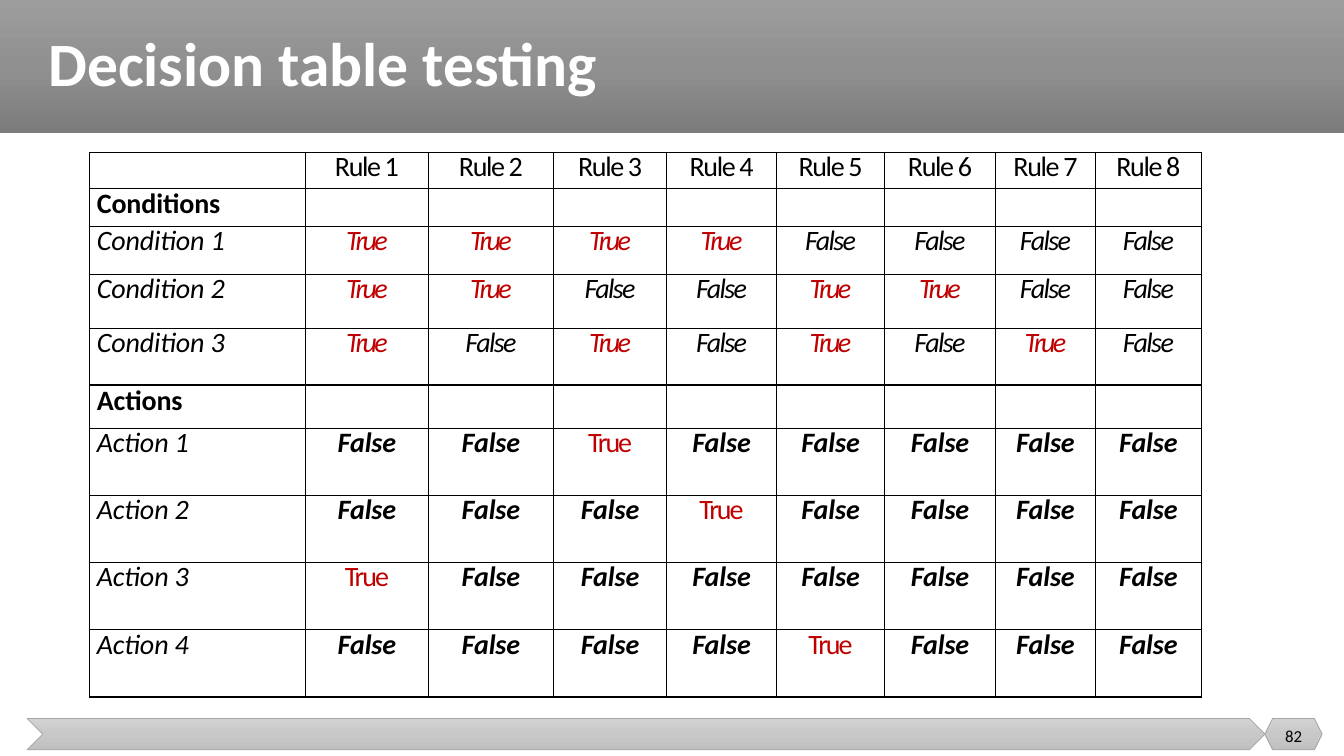
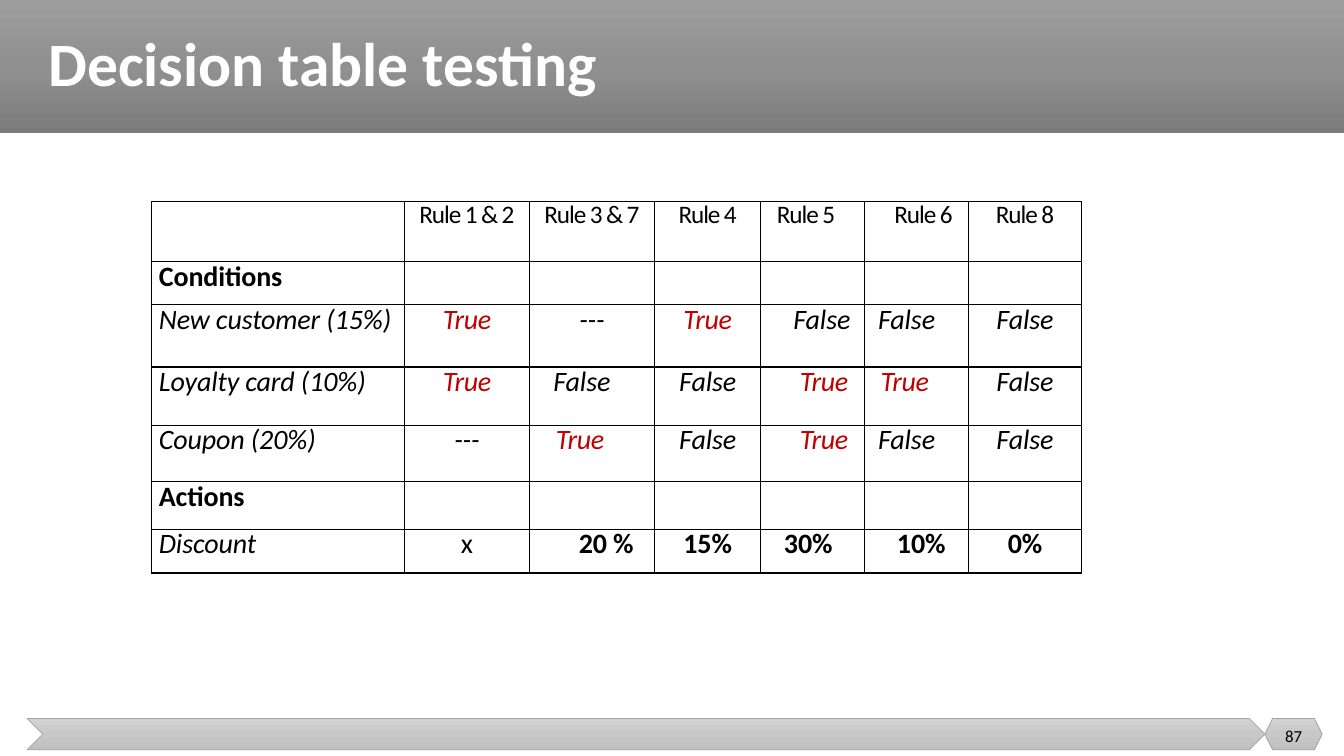
"""Build two slides on decision table testing."""
from collections import namedtuple
from copy import deepcopy

from lxml.etree import SubElement
from pptx import Presentation
from pptx.dml.color import RGBColor as RGB
from pptx.enum.shapes import MSO_SHAPE as SHAPE
from pptx.enum.text import MSO_ANCHOR as ANCHOR, PP_ALIGN as ALIGN
from pptx.oxml.ns import qn
from pptx.util import Pt

COLORS = {
    "black": "000000", "white": "FFFFFF", "red": "C00000", "edge": "A5A5A5",
    "top": ("9D9D9D", "909090", "7C7C7C"),
    "foot": ("D2D2D2", "C8C8C8", "C0C0C0"),
}

Look = namedtuple("Look", "size bold slant gap color line",
                  defaults=(20, False, False, -0.1, "black", 22.8))

LOOKS = {
    "head": Look(gap=-1),
    "small head": Look(size=18, gap=-0.8, line=20.4),
    "group": Look(bold=True, line=23.4),
    "label": Look(slant=True),
    "tight": Look(slant=True, gap=-1.2),
    ("tight", "True"): Look(slant=True, gap=-1.9, color="red"),
    "loose": Look(slant=True),
    ("loose", "True"): Look(slant=True, gap=-0.3, color="red"),
    "act": Look(bold=True, slant=True),
    ("act", "True"): Look(gap=-1.5, color="red"),
    "sum": Look(bold=True),
    ("sum", "x"): Look(gap=0),
}


class Deck:
    def __init__(self):
        self.deck = Presentation()
        self.deck.slide_width, self.deck.slide_height = Pt(960), Pt(540)
        self.slide = None

    def page(self, title, number):
        self.slide = self.deck.slides.add_slide(self.deck.slide_layouts[6])
        self.band(SHAPE.RECTANGLE, (0, 0, 960, 95), "top")
        self.band(SHAPE.CHEVRON, (19.3, 513.2, 884.2, 22.4), "foot", "edge")
        self.band(SHAPE.HEXAGON, (903.5, 513.2, 41, 22.4), "foot", "edge")
        head = self.text((27.4, 0, 917, 95), title,
                         Look(size=44, bold=True, gap=0, color="white"))
        head.line_spacing = 0.9
        foot = self.text((903.5, 511.2, 41, 28.8), number, Look(size=12, gap=0))
        foot.alignment = ALIGN.CENTER

    def band(self, kind, box, fill, edge=None):
        shape = self.slide.shapes.add_shape(kind, *map(Pt, box))
        shape.shadow.inherit = False
        shape.fill.gradient()
        shape.fill.gradient_angle = 270
        stops = shape._element.spPr.find(qn("a:gradFill")).find(qn("a:gsLst"))
        stops.append(deepcopy(stops[0]))
        for i, stop in enumerate(shape.fill.gradient_stops):
            stop.color.rgb = RGB.from_string(COLORS[fill][i])
            stop.position = i / 2
        if edge:
            shape.line.color.rgb = RGB.from_string(COLORS[edge])
            shape.line.width = Pt(0.5)
        else:
            shape.line.fill.background()

    def text(self, box, words, look):
        frame = self.slide.shapes.add_textbox(*map(Pt, box)).text_frame
        frame.word_wrap = True
        frame.vertical_anchor = ANCHOR.MIDDLE
        frame.text = words
        self.style(frame.paragraphs[0], look)
        return frame.paragraphs[0]

    def style(self, para, look):
        for run in para.runs:
            font = run.font
            font.name, font.size = "Calibri", Pt(look.size)
            font.bold, font.italic = look.bold, look.slant
            font.color.rgb = RGB.from_string(COLORS[look.color])
            if look.gap:
                run._r.get_or_add_rPr().set("spc", str(round(look.gap * 100)))

    def table(self, left, top, widths, rows, shifts=None):
        shifts = shifts or {}
        highs = [row[0] for row in rows]
        grid = self.slide.shapes.add_table(
            len(rows), len(widths), Pt(left), Pt(top),
            Pt(sum(widths)), Pt(sum(highs))).table
        grid.first_row = grid.horz_banding = False
        for col, width in zip(grid.columns, widths):
            col.width = Pt(width)
        for r, (high, kind, label, words) in enumerate(rows):
            grid.rows[r].height = Pt(high)
            first = "group" if kind == "group" else "label"
            for c in range(len(widths)):
                word = label if c == 0 else words[c - 1] if words else ""
                look = LOOKS.get((kind, word), LOOKS[kind]) if c else LOOKS[first]
                base = (ALIGN.CENTER, 0, 0) if c else (ALIGN.LEFT, 5.2, 0)
                self.cell(grid.cell(r, c), word, look, *shifts.get((r, c), base))

    def cell(self, cell, word, look, align, left, right):
        cell.margin_left, cell.margin_right = Pt(left), Pt(right)
        cell.margin_top = cell.margin_bottom = 0
        self.edges(cell)
        cell.fill.background()
        cell.text_frame.text = word
        para = cell.text_frame.paragraphs[0]
        para.alignment = align
        para.line_spacing = Pt(look.line)
        self.style(para, look)

    def edges(self, cell):
        props = cell._tc.get_or_add_tcPr()
        for side in ("lnL", "lnR", "lnT", "lnB"):
            line = SubElement(props, qn("a:" + side), w=str(Pt(1)))
            fill = SubElement(line, qn("a:solidFill"))
            SubElement(fill, qn("a:srgbClr"), val=COLORS["black"])


def flags(code):
    return [{"T": "True", "F": "False", "-": "---"}[mark] for mark in code]


def main():
    deck = Deck()
    title = "Decision table testing"

    deck.page(title, "82")
    deck.table(64, 108.7, [154.2, 87.8, 89.4, 80.8, 78.5, 77.2, 79.2, 71.5, 75.6], [
        (26, "head", "", [f"Rule {n}" for n in range(1, 9)]),
        (27, "group", "Conditions", []),
        (34.4, "tight", "Condition 1", flags("TTTTFFFF")),
        (38.6, "tight", "Condition 2", flags("TTFFTTFF")),
        (40.4, "tight", "Condition 3", flags("TFTFTFTF")),
        (30.8, "group", "Actions", []),
        (48, "act", "Action 1", flags("FFTFFFFF")),
        (48, "act", "Action 2", flags("FFFTFFFF")),
        (48, "act", "Action 3", flags("TFFFFFFF")),
        (48, "act", "Action 4", flags("FFFFTFFF")),
    ])

    deck.page(title, "87")
    mid = ALIGN.CENTER
    deck.table(108.3, 144, [180.6, 89.3, 89.3, 76, 74.2, 74.2, 80.6], [
        (43, "small head", "",
         ["Rule 1 & 2", "Rule 3 & 7", "Rule 4", "Rule 5", "Rule 6", "Rule 8"]),
        (30.8, "group", "Conditions", []),
        (44.4, "loose", "New customer (15%)", flags("T-TFFF")),
        (41.8, "loose", "Loyalty card (10%)", flags("TFFTTF")),
        (39.8, "loose", "Coupon (20%)", flags("-TFTFF")),
        (34.4, "group", "Actions", []),
        (31.2, "sum", "Discount", ["x", "20 %", "15%", "30%", "10%", "0%"]),
    ], {
        (0, 4): (ALIGN.LEFT, 11.5, 0), (0, 5): (ALIGN.RIGHT, 0, 11.5),
        (2, 4): (mid, 13, 0), (2, 5): (mid, 0, 14.4),
        (3, 2): (mid, 0, 14.4), (3, 4): (mid, 16, 0), (3, 5): (mid, 0, 17),
        (4, 2): (mid, 0, 17), (4, 4): (mid, 16, 0), (4, 5): (mid, 0, 14.4),
        (6, 2): (ALIGN.RIGHT, 0, 15), (6, 4): (ALIGN.LEFT, 16.5, 0),
        (6, 5): (ALIGN.RIGHT, 0, 16.5),
    })
    deck.deck.save("out.pptx")


if __name__ == "__main__":
    main()
